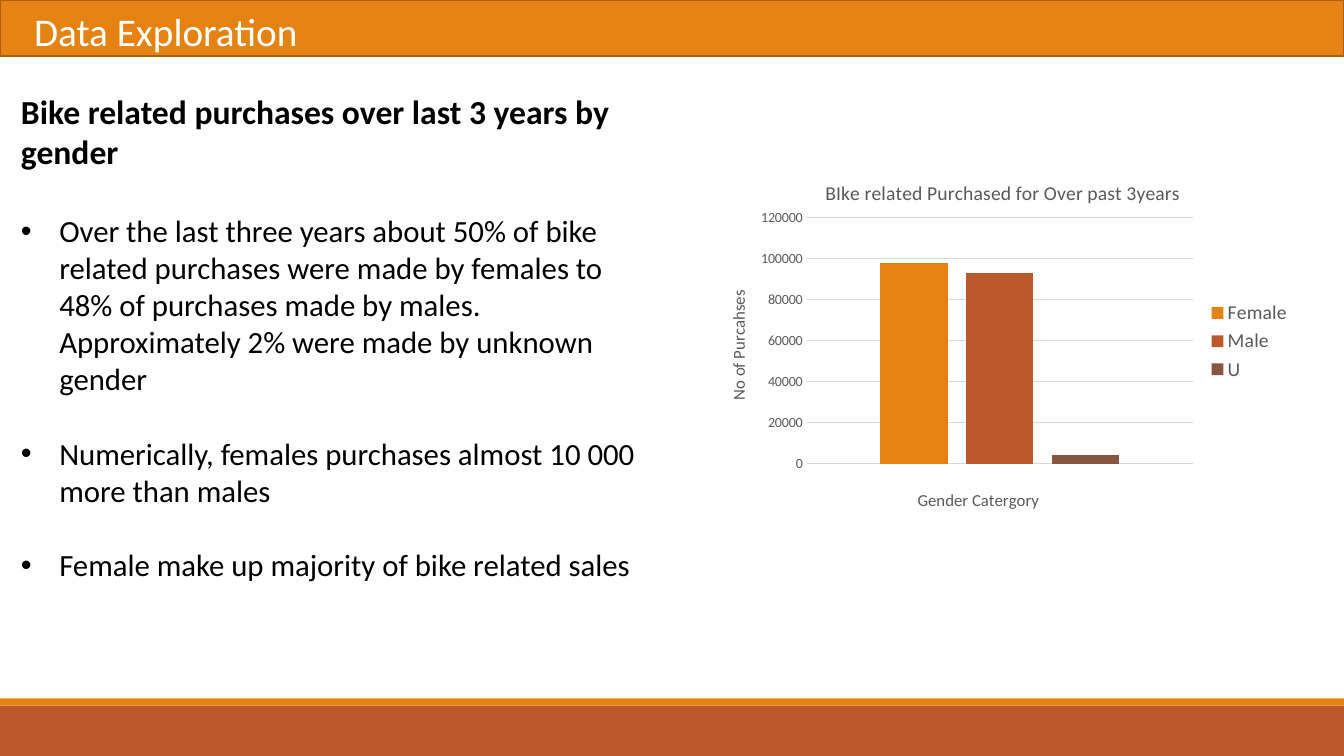
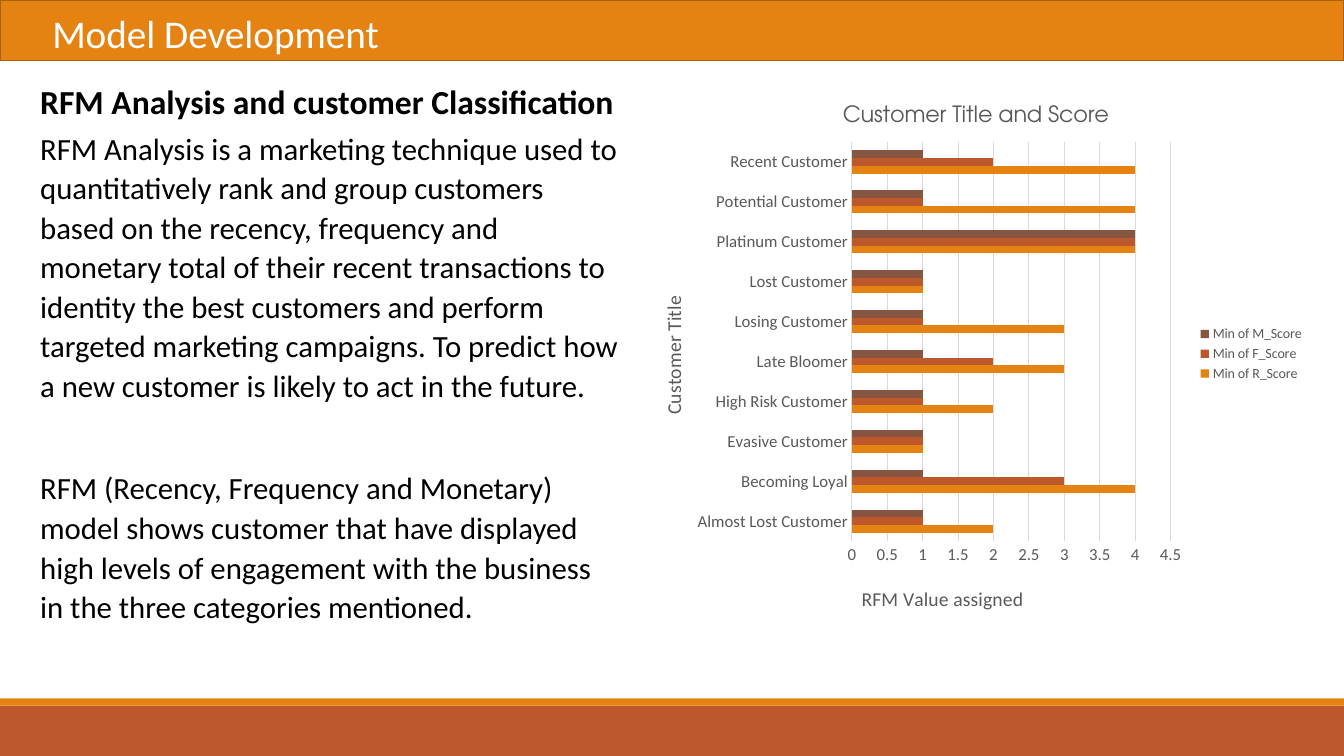
import pptx
import pptx.chart.data
import pptx.dml.color
import pptx.enum.chart
import pptx.enum.shapes
import pptx.enum.text
import pptx.oxml
import pptx.oxml.ns
import pptx.util

Inches = pptx.util.Inches
Pt = pptx.util.Pt
qn = pptx.oxml.ns.qn

SLIDE_WIDTH, SLIDE_HEIGHT = 13.33, 7.5
FONT = "Calibri"
CHART_TITLE_FONT = "TeX Gyre Adventor"
ORANGE, RUST, BROWN = "E48312", "BD582C", "865640"
HEADER_LINE, GRID, GREY = "A9610D", "D9D9D9", "595959"
BLACK, WHITE = "000000", "FFFFFF"
SERIES_COLORS = [ORANGE, RUST, BROWN]
BULLET_INDENT = 0.38


def color(value):
    return pptx.dml.color.RGBColor.from_string(value)


def apply(target, values):
    for name, value in values.items():
        setattr(target, name, value)


def style_font(font, size, shade=BLACK, name=FONT, bold=False):
    apply(font, {"size": Pt(size), "name": name, "bold": bold})
    font.color.rgb = color(shade)


def style_line(line, shade=None, width=0.75):
    if shade is None:
        line.fill.background()
        return
    line.color.rgb = color(shade)
    line.width = Pt(width)


def add_band(slide, top, height, fill, line=None):
    shape = slide.shapes.add_shape(
        pptx.enum.shapes.MSO_SHAPE.RECTANGLE,
        0, Inches(top), Inches(SLIDE_WIDTH), Inches(height))
    shape.shadow.inherit = False
    shape.fill.solid()
    shape.fill.fore_color.rgb = color(fill)
    style_line(shape.line, line, 1.25)


def add_text(slide, box, paragraphs):
    shape = slide.shapes.add_textbox(*map(Inches, box))
    frame = shape.text_frame
    apply(frame, {"word_wrap": True,
                  "auto_size": pptx.enum.text.MSO_AUTO_SIZE.SHAPE_TO_FIT_TEXT})
    for index, (text, font_values, spacing, bulleted) in enumerate(paragraphs):
        paragraph = frame.add_paragraph() if index else frame.paragraphs[0]
        run = paragraph.add_run()
        run.text = text
        style_font(run.font, **font_values)
        apply(paragraph, spacing)
        if bulleted:
            add_bullet(paragraph)


def add_bullet(paragraph):
    properties = paragraph._p.get_or_add_pPr()
    properties.set("marL", str(Inches(BULLET_INDENT)))
    properties.set("indent", str(-Inches(BULLET_INDENT)))
    font = pptx.oxml.parse_xml(
        f'<a:buFont {pptx.oxml.ns.nsdecls("a")} typeface="Arial"/>')
    bullet = pptx.oxml.parse_xml(
        f'<a:buChar {pptx.oxml.ns.nsdecls("a")} char="•"/>')
    properties.extend([font, bullet])


def add_framed_slide(presentation, title, title_box, header_height):
    slide = presentation.slides.add_slide(presentation.slide_layouts[6])
    add_band(slide, 7, 0.5, RUST)
    add_band(slide, 6.93, 0.07, ORANGE)
    add_band(slide, 0, header_height, ORANGE, HEADER_LINE)
    add_text(slide, title_box, [(title, {"size": 28, "shade": WHITE}, {}, False)])
    return slide


def set_layout(element, index, chart_box, left, top, width=None, height=None):
    for existing in element.findall(qn("c:layout")):
        element.remove(existing)
    chart_left, chart_top, chart_width, chart_height = chart_box
    values = {"x": (left - chart_left) / chart_width,
              "y": (top - chart_top) / chart_height}
    target = ""
    if width is not None:
        target = '<c:layoutTarget val="inner"/>'
        values.update(w=width / chart_width, h=height / chart_height)
    modes = "".join(f'<c:{key}Mode val="edge"/>' for key in "xy")
    sizes = "".join(f'<c:{key} val="{value:.4f}"/>' for key, value in values.items())
    element.insert(index, pptx.oxml.parse_xml(
        f'<c:layout {pptx.oxml.ns.nsdecls("c")}><c:manualLayout>'
        f'{target}{modes}{sizes}</c:manualLayout></c:layout>'))


def set_title(title, chart_box, text, size, position, name=FONT, vertical=False):
    frame = title.text_frame
    frame.text = text
    style_font(frame.paragraphs[0].runs[0].font, size, GREY, name)
    if vertical:
        frame._txBody.bodyPr.set("rot", "-5400000")
        frame._txBody.bodyPr.set("vert", "horz")
    set_layout(title.element, 1, chart_box, *position)


def add_bar_chart(slide, kind, box, plot_box, categories, series, titles,
                  axis_size, legend_size, scale, overlap):
    data = pptx.chart.data.CategoryChartData()
    data.categories = categories
    for name, values in series:
        data.add_series(name, values)
    chart = slide.shapes.add_chart(kind, *map(Inches, box), data).chart
    style_font(chart.font, 10)
    category_axis, value_axis = chart.category_axis, chart.value_axis
    owners = [chart.chart_title, category_axis.axis_title, value_axis.axis_title]
    for title, values in zip(owners, titles):
        set_title(title, box, **values)
    for axis in (category_axis, value_axis):
        apply(axis, {"major_tick_mark": pptx.enum.chart.XL_TICK_MARK.NONE,
                     "minor_tick_mark": pptx.enum.chart.XL_TICK_MARK.NONE})
        style_font(axis.tick_labels.font, axis_size, GREY)
    apply(value_axis, scale)
    style_line(value_axis.format.line)
    style_line(value_axis.major_gridlines.format.line, GRID)
    style_line(category_axis.format.line, GRID)
    chart.has_legend = True
    apply(chart.legend, {"position": pptx.enum.chart.XL_LEGEND_POSITION.RIGHT,
                         "include_in_layout": False})
    style_font(chart.legend.font, legend_size, GREY)
    plot = chart.plots[0]
    apply(plot, {"gap_width": 219, "overlap": overlap, "vary_by_categories": False})
    for item, shade in zip(plot.series, SERIES_COLORS):
        item.format.fill.solid()
        item.format.fill.fore_color.rgb = color(shade)
    set_layout(chart.element.find(".//" + qn("c:plotArea")), 0, box, *plot_box)
    return chart


def build_exploration(presentation):
    slide = add_framed_slide(
        presentation, "Data Exploration", (0.24, 0.02, 3.08, 0.57), 0.56)
    heading = ("Bike related purchases over last 3 years by gender",
               {"size": 24, "bold": True}, {"space_after": Pt(29)}, False)
    findings = [
        "Over the last three years about 50% of bike related purchases were made "
        "by females to 48% of purchases made by males. Approximately 2% were made "
        "by unknown gender",
        "Numerically, females purchases almost 10 000 more than males",
        "Female make up majority of bike related sales",
    ]
    bullets = [(text, {"size": 22}, {"space_after": Pt(27)}, True)
               for text in findings]
    add_text(slide, (0.11, 0.85, 6.55, 5.02), [heading] + bullets)
    chart = add_bar_chart(
        slide, pptx.enum.chart.XL_CHART_TYPE.COLUMN_CLUSTERED,
        box=(6.94, 1.55, 5.97, 3.67), plot_box=(8, 2.16, 3.83, 2.44),
        categories=["1"],
        series=[("Female", [98000]), ("Male", [93000]), ("U", [4000])],
        titles=[
            {"text": "BIke related Purchased for Over past 3years", "size": 14,
             "position": (8.15, 1.74)},
            {"text": "Gender Catergory", "size": 12, "position": (9.07, 4.82)},
            {"text": "No of Purcahses", "size": 12, "position": (7.18, 2.85),
             "vertical": True},
        ],
        axis_size=10, legend_size=14, overlap=-27,
        scale={"minimum_scale": 0, "maximum_scale": 120000, "major_unit": 20000})
    chart.category_axis.visible = False


def build_model(presentation):
    slide = add_framed_slide(
        presentation, "Model Development", (0.42, 0.04, 3.65, 0.57), 0.6)
    categories = [
        "Almost Lost Customer", "Becoming Loyal", "Evasive Customer",
        "High Risk Customer", "Late Bloomer", "Losing Customer", "Lost Customer",
        "Platinum Customer", "Potential Customer", "Recent Customer",
    ]
    add_bar_chart(
        slide, pptx.enum.chart.XL_CHART_TYPE.BAR_CLUSTERED,
        box=(6.26, 0.8, 6.78, 5.42), plot_box=(8.45, 1.41, 3.16, 3.96),
        categories=categories,
        series=[("Min of R_Score", [2, 4, 1, 2, 3, 3, 1, 4, 4, 4]),
                ("Min of F_Score", [1, 3, 1, 1, 2, 1, 1, 4, 1, 2]),
                ("Min of M_Score", [1, 1, 1, 1, 1, 1, 1, 4, 1, 1])],
        titles=[
            {"text": "Customer Title and Score", "size": 16,
             "position": (8.32, 0.98), "name": CHART_TITLE_FONT},
            {"text": "Customer Title", "size": 14, "position": (6.51, 2.9),
             "vertical": True},
            {"text": "RFM Value assigned", "size": 14, "position": (8.51, 5.77)},
        ],
        axis_size=12, legend_size=10, overlap=0,
        scale={"minimum_scale": 0, "maximum_scale": 4.5, "major_unit": 0.5})
    explanations = [
        ("RFM Analysis is a marketing technique used to quantitatively rank and "
         "group customers based on the recency, frequency and monetary total of "
         "their recent transactions to identity the best customers and perform "
         "targeted marketing campaigns. To predict how a new customer is likely "
         "to act in the future.", 45),
        ("RFM (Recency, Frequency and Monetary) model shows customer that have "
         "displayed high levels of engagement with the business in the three "
         "categories mentioned.", 8),
    ]
    add_text(slide, (0.3, 1.21, 5.96, 5.56), [
        (text, {"size": 22}, {"line_spacing": 1.07, "space_after": Pt(gap)}, False)
        for text, gap in explanations])
    add_text(slide, (0.3, 0.75, 6.09, 0.5), [
        ("RFM Analysis and customer Classification",
         {"size": 24, "bold": True}, {}, False)])


def main():
    presentation = pptx.Presentation()
    apply(presentation, {"slide_width": Inches(SLIDE_WIDTH),
                         "slide_height": Inches(SLIDE_HEIGHT)})
    build_exploration(presentation)
    build_model(presentation)
    presentation.save("out.pptx")


if __name__ == "__main__":
    main()
